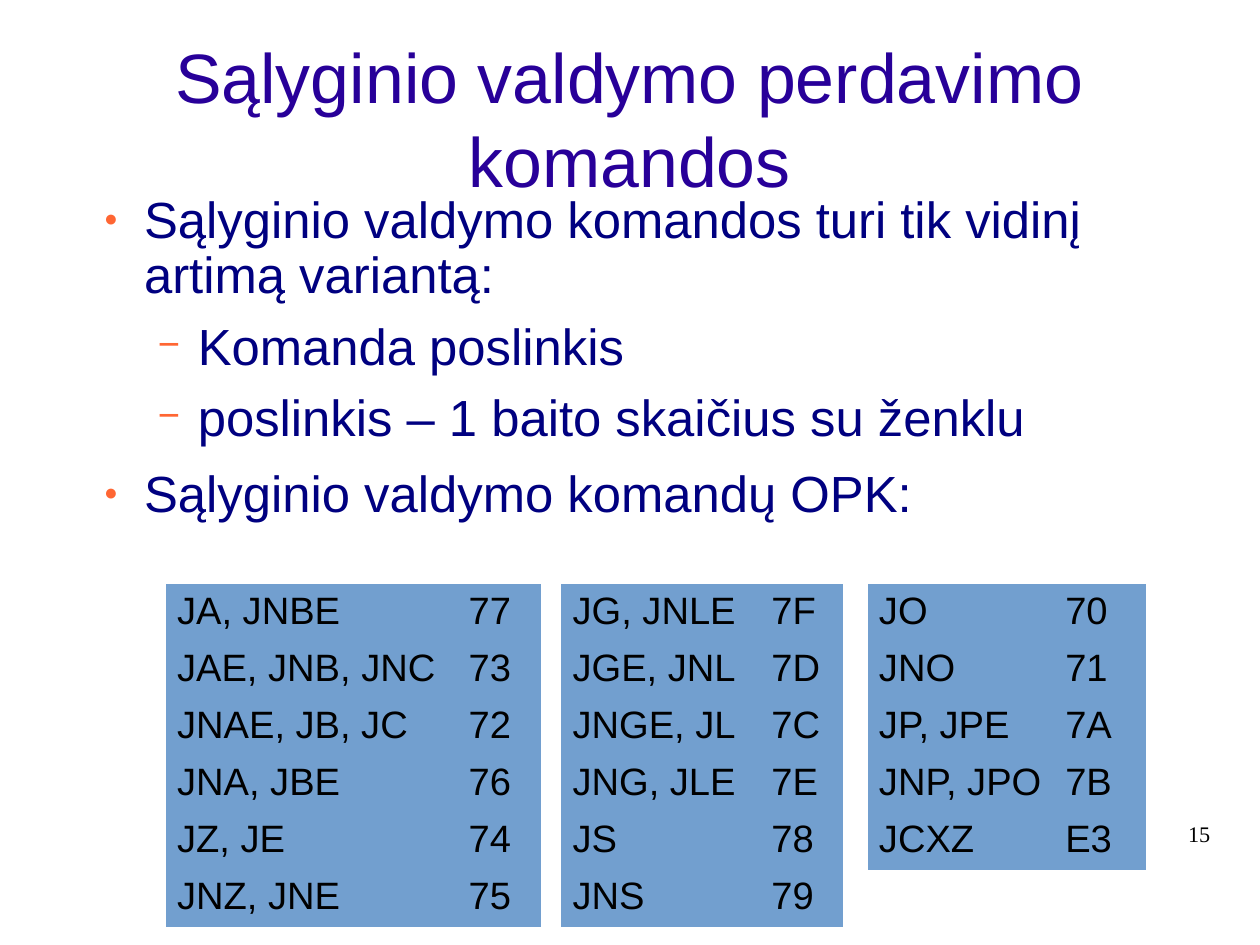
from lxml import etree
from pptx import Presentation
from pptx.dml.color import RGBColor
from pptx.enum import text
from pptx.oxml import ns
from pptx.util import Inches, Pt

INDIGO = RGBColor(0x28, 0x00, 0x99)
NAVY = RGBColor(0x00, 0x00, 0x80)
ORANGE = RGBColor(0xFF, 0x66, 0x33)
BLUE = RGBColor(0x72, 0x9F, 0xCF)
BLACK = RGBColor(0x00, 0x00, 0x00)

CM_PER_INCH = 2.54
PAGE_CM = (28, 21)

# Bullet levels: character, size in percent, left margin, line spacing
LEVELS = [("●", 45, 0.47, 0.9), ("−", 75, 0.94, 0.8)]
HANGING = 0.35
BODY = [
    (0, "Sąlyginio valdymo komandos turi tik vidinį artimą variantą:"),
    (1, "Komanda poslinkis"),
    (1, "poslinkis – 1 baito skaičius su ženklu"),
    (0, "Sąlyginio valdymo komandų OPK:"),
]

TABLE_TOP, ROW_HEIGHT = 5.11, 0.5
# Opcode tables: left, column widths, rows
OPCODE_TABLES = [
    (1.45, (2.55, 0.73), [
        ("JA, JNBE", "77"), ("JAE, JNB, JNC", "73"), ("JNAE, JB, JC", "72"),
        ("JNA, JBE", "76"), ("JZ, JE", "74"), ("JNZ, JNE", "75")]),
    (4.91, (1.74, 0.73), [
        ("JG, JNLE", "7F"), ("JGE, JNL", "7D"), ("JNGE, JL", "7C"),
        ("JNG, JLE", "7E"), ("JS", "78"), ("JNS", "79")]),
    (7.59, (1.63, 0.81), [
        ("JO", "70"), ("JNO", "71"), ("JP, JPE", "7A"),
        ("JNP, JPO", "7B"), ("JCXZ", "E3")]),
]


def write(paragraph, words, size, color, name="Arial"):
    paragraph.text = words
    paragraph.font.color.rgb = color
    for attribute, value in {"size": Pt(size), "name": name}.items():
        setattr(paragraph.font, attribute, value)


def prepare_frame(shape, left, top, width, height):
    """Place a text shape and give its frame no insets."""
    place = {"left": left, "top": top, "width": width, "height": height}
    for attribute, value in place.items():
        setattr(shape, attribute, Inches(value))
    frame = shape.text_frame
    settings = {"margin_left": 0, "margin_top": 0, "margin_right": 0,
                "margin_bottom": 0, "word_wrap": True,
                "auto_size": text.MSO_AUTO_SIZE.NONE}
    for attribute, value in settings.items():
        setattr(frame, attribute, value)
    return frame


presentation = Presentation()
presentation.slide_width, presentation.slide_height = (
    Inches(length / CM_PER_INCH) for length in PAGE_CM)
slide = presentation.slides.add_slide(presentation.slide_layouts[5])

# Slide number
number_box = slide.shapes.add_textbox(0, 0, 0, 0)
paragraph = prepare_frame(number_box, 8.02, 7.18, 2.57, 0.57).paragraphs[0]
write(paragraph, "15", 14, BLACK, "Times New Roman")
paragraph.alignment = text.PP_ALIGN.RIGHT

# Title
frame = prepare_frame(slide.shapes.title, 0.55, 0.34, 9.92, 1.37)
frame.vertical_anchor = text.MSO_ANCHOR.MIDDLE
write(frame.paragraphs[0], "Sąlyginio valdymo perdavimo komandos", 44, INDIGO)
frame.paragraphs[0].alignment = text.PP_ALIGN.CENTER

# Bulleted body
body = slide.shapes.add_textbox(0, 0, 0, 0)
frame = prepare_frame(body, 0.79, 1.7, 9.68, 2.97)
for index, (level, words) in enumerate(BODY):
    paragraph = frame.add_paragraph() if index else frame.paragraphs[0]
    bullet, percent, margin, spacing = LEVELS[level]
    paragraph.level = level
    paragraph.line_spacing = spacing
    paragraph.space_after = Pt(14.1)
    properties = paragraph._p.get_or_add_pPr()
    properties.set("marL", str(Inches(margin)))
    properties.set("indent", str(-Inches(HANGING)))
    bullet_color = etree.SubElement(properties, ns.qn("a:buClr"))
    etree.SubElement(bullet_color, ns.qn("a:srgbClr"), val=str(ORANGE))
    etree.SubElement(properties, ns.qn("a:buSzPct"), val=str(percent * 1000))
    etree.SubElement(properties, ns.qn("a:buFont"), typeface="Arial")
    etree.SubElement(properties, ns.qn("a:buChar"), char=bullet)
    write(paragraph, words, 32, NAVY)

# Opcode tables
for left, widths, rows in OPCODE_TABLES:
    table = slide.shapes.add_table(
        len(rows), len(widths), Inches(left), Inches(TABLE_TOP),
        Inches(sum(widths)), Inches(ROW_HEIGHT * len(rows))).table
    table.first_row = table.horz_banding = False
    table_style = table._tbl.tblPr.find(ns.qn("a:tableStyleId"))
    table_style.text = "{2D5ABB26-0587-4C30-8999-92F81FD0307C}"  # no style, no grid
    for column, width in zip(table.columns, widths):
        column.width = Inches(width)
    for row, values in zip(table.rows, rows):
        for cell, value in zip(row.cells, values):
            cell.fill.solid()
            cell.fill.fore_color.rgb = BLUE
            write(cell.text_frame.paragraphs[0], value, 24, BLACK)

presentation.save("out.pptx")
